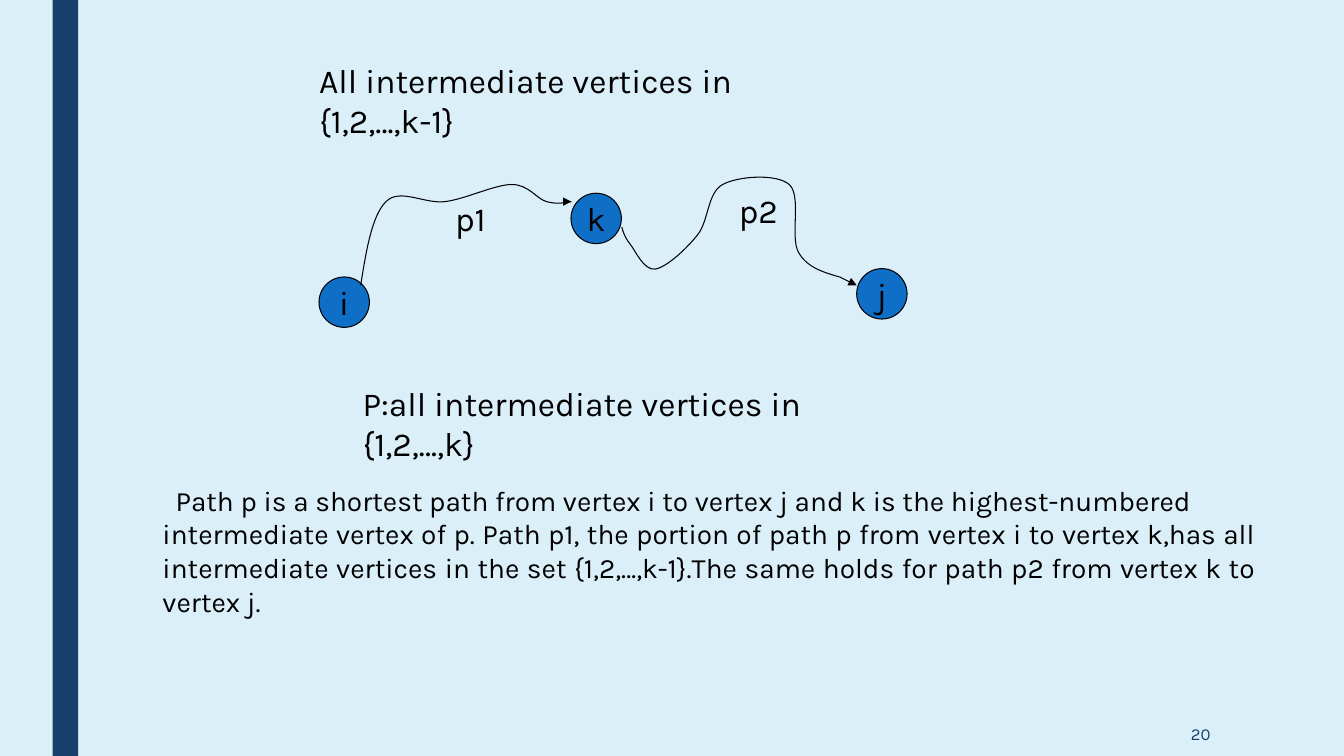
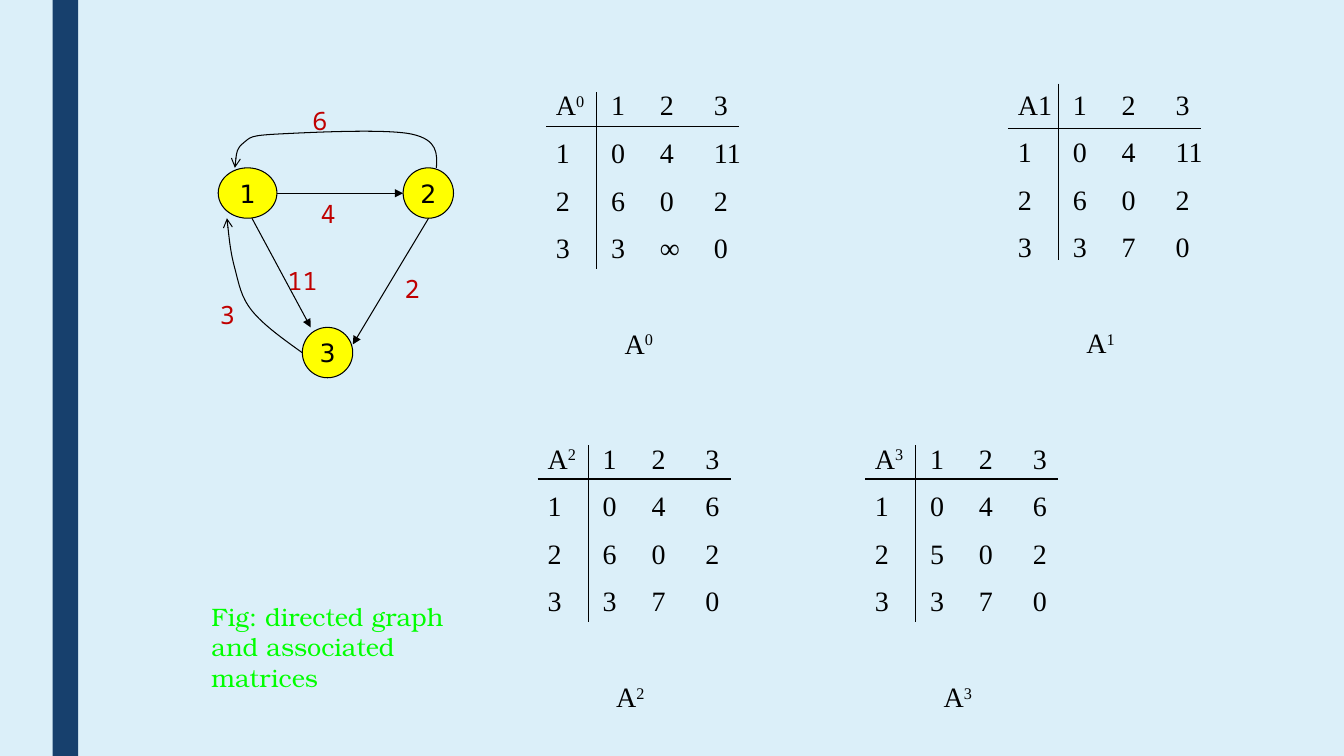
from dataclasses import dataclass
from itertools import product

from lxml import etree
from pptx import Presentation
from pptx import util as u
from pptx.dml.color import RGBColor
from pptx.enum import shapes, text
from pptx.oxml.ns import qn

COLOURS = {
    "background": "DBEFF9",
    "band": "17406D",
    "blue": "0F6FC6",
    "yellow": "FFFF00",
    "ink": "000000",
    "weight": "C00000",
    "caption": "00FF00",
}
PLAIN_TABLE = "{2D5ABB26-0587-4C30-8999-92F81FD0307C}"
LINE_WIDTH = u.Pt(0.75)
NODE_SIZE = 1.27
COLUMN_WIDTHS = (1.39, 1.23, 1.36, 1.15)
ROW_HEIGHT = 1.2
RULE_WIDTH, RULE_HEIGHT = 4.87, 4.45

Point = tuple[float, float]


@dataclass(frozen=True)
class Style:
    font: str
    size: float
    colour: str = "ink"


@dataclass(frozen=True)
class Label:
    words: str
    left: float
    top: float
    width: float = 1.27
    height: float = 1.02
    superscript: str = ""


@dataclass(frozen=True)
class Node:
    name: str
    left: float
    top: float
    width: float = NODE_SIZE


@dataclass(frozen=True)
class Edge:
    start: Point
    end: Point


@dataclass(frozen=True)
class Matrix:
    power: str
    left: float
    top: float
    cross: Point
    rule_top: float
    values: tuple[str, ...]
    raised: bool = True


KARLA_LARGE = Style("Karla", 24)
KARLA_BODY = Style("Karla", 20)
PAGE_NUMBER = Style("Karla", 12, "band")
NODE_NUMBER = Style("DejaVu Sans", 18)
EDGE_WEIGHT = Style("Noto Sans Mono", 18, "weight")
FIGURE_CAPTION = Style("TeX Gyre Bonum", 18, "caption")
MATRIX_TEXT = Style("Times New Roman", 20)

# Path through vertex k
PATH_TITLE = Label("All intermediate vertices in {1,2,…,k-1}", 7.79, 1.38, 14.1, 2.4)
PATH_CAPTION = Label("P:all intermediate vertices in {1,2,…,k}", 8.89, 9.52, 13.97, 2.4)
PATH_BODY = Label(
    "Path p is a shortest path from vertex i to vertex j and k is the highest-numbered\n"
    "intermediate vertex of p. Path p1, the portion of path p from vertex i to vertex k,"
    "has all intermediate vertices in the set {1,2,…,k-1}.The same holds for path p2 "
    "from vertex k to vertex j.",
    3.84, 12.05, 28.07, 3.68)
PATH_NODES = (Node("i", 8.04, 6.98), Node("j", 21.59, 6.77), Node("k", 14.39, 4.87))
PATH_CURVES = (
    ((9.09, 7.19), (9.73, 5.08), (11.23, 5.08), (12.9, 4.65), (13.77, 5.08), (14.4, 5.08)),
    ((15.67, 5.72), (15.88, 6.15), (16.51, 6.78), (17.58, 5.92), (18.21, 4.65),
     (19.89, 4.65), (20.12, 6.35), (21.16, 6.98)),
)
PATH_ARROWS = (Edge((14.18, 5.08), (14.4, 5.08)), Edge((21.16, 6.98), (21.59, 7.19)))
PATH_LABELS = (Label("p1", 11.22, 4.86, 2.74, 1.27), Label("p2", 18.37, 4.65, 3.23, 1.27))

# Directed graph and its matrices
GRAPH_NODES = (Node("1", 5.5, 4.23, 1.48), Node("2", 10.16, 4.23), Node("3", 7.62, 8.25))
GRAPH_WEIGHTS = (
    Label("3", 5.29, 7.41),
    Label("6", 7.62, 2.54),
    Label("4", 7.83, 4.87),
    Label("2", 9.95, 6.77),
    Label("11", 6.99, 6.55, 1.7),
)
GRAPH_EDGES = (
    Edge((6.99, 4.87), (10.16, 4.87)),
    Edge((10.8, 5.5), (8.89, 8.68)),
    Edge((6.35, 5.5), (7.83, 8.25)),
)
GRAPH_CURVES = (
    ((5.92, 4.23), (6.14, 3.6), (6.99, 3.38), (10.37, 3.38), (11, 4.23)),
    ((5.72, 5.5), (5.92, 6.77), (6.35, 7.83), (7.62, 8.89)),
)
GRAPH_CAPTION = Label("Fig: directed graph and associated matrices", 5.08, 15.03, 7.62, 2.54)
MATRICES = (
    Matrix("0", 13.76, 2.08, (15.03, 3.18), 2.33, ("0 4 11", "6 0 2", "3 ∞ 0")),
    Matrix("1", 25.4, 2.06, (26.67, 3.25), 2.11, ("0 4 11", "6 0 2", "3 7 0"), False),
    Matrix("2", 13.55, 10.98, (14.82, 12.07), 11.22, ("0 4 6", "6 0 2", "3 7 0")),
    Matrix("3", 21.8, 10.98, (23.07, 12.07), 11.22, ("0 4 6", "5 0 2", "3 7 0")),
)


def rgb(name: str) -> RGBColor:
    return RGBColor.from_string(COLOURS[name])


def set_font(para, style: Style) -> None:
    para.font.name = style.font
    para.font.size = u.Pt(style.size)
    para.font.color.rgb = rgb(style.colour)


def add_span(para, words: str, raised: bool = False) -> None:
    span = para.add_run()
    span.text = words
    if raised:
        span._r.get_or_add_rPr().set("baseline", "30000")


def outline(shape, end: str = "", arrow: str = "triangle") -> None:
    """Thin dark line, with an arrowhead at headEnd or tailEnd if one is named."""
    shape.line.color.rgb = rgb("ink")
    shape.line.width = LINE_WIDTH
    if end:
        line = shape.element.find(qn("p:spPr")).find(qn("a:ln"))
        etree.SubElement(line, qn(f"a:{end}"), type=arrow)


def add_label(page, label: Label, style: Style):
    box = page.shapes.add_textbox(
        u.Cm(label.left), u.Cm(label.top), u.Cm(label.width), u.Cm(label.height))
    box.text_frame.word_wrap = True
    para = box.text_frame.paragraphs[0]
    add_span(para, label.words)
    if label.superscript:
        add_span(para, label.superscript, raised=True)
    set_font(para, style)
    return box


def fill_placeholder(box, label: Label, style: Style, alignment, first_indent: float = 0) -> None:
    """Move a template placeholder and set its text without bullets."""
    box.left, box.top = u.Cm(label.left), u.Cm(label.top)
    box.width, box.height = u.Cm(label.width), u.Cm(label.height)
    frame = box.text_frame
    frame.text = label.words
    frame.word_wrap = True
    frame.auto_size = text.MSO_AUTO_SIZE.NONE
    frame.vertical_anchor = text.MSO_ANCHOR.TOP
    for number, para in enumerate(frame.paragraphs):
        properties = para._p.get_or_add_pPr()
        properties.set("marL", "0")
        properties.set("indent", str(0 if number else u.Cm(first_indent)))
        para.space_before = u.Pt(0)
        etree.SubElement(properties, qn("a:buNone"))
        para.alignment = alignment
        set_font(para, style)


def add_node(page, node: Node, fill: str, style: Style) -> None:
    circle = page.shapes.add_shape(
        shapes.MSO_SHAPE.OVAL,
        u.Cm(node.left), u.Cm(node.top), u.Cm(node.width), u.Cm(NODE_SIZE))
    circle.shadow.inherit = False
    circle.fill.solid()
    circle.fill.fore_color.rgb = rgb(fill)
    outline(circle)
    frame = circle.text_frame
    frame.word_wrap = False
    frame.vertical_anchor = text.MSO_ANCHOR.MIDDLE
    frame.margin_left = frame.margin_right = frame.margin_top = frame.margin_bottom = 0
    para = frame.paragraphs[0]
    add_span(para, node.name)
    para.alignment = text.PP_ALIGN.CENTER
    set_font(para, style)


def add_line(page, edge: Edge, end: str = "") -> None:
    line = page.shapes.add_connector(
        shapes.MSO_CONNECTOR.STRAIGHT, *(u.Cm(value) for value in edge.start + edge.end))
    outline(line, end)
    etree.SubElement(line.element.find(qn("p:spPr")), qn("a:effectLst"))


def curve_points(knots: tuple[Point, ...]) -> list[Point]:
    """Two handles and an end point for each stretch of a smooth curve."""
    def handle(index: int, sign: int) -> Point:
        before, knot, after = knots[index - 1:index + 2]
        return tuple(k + sign * (a - b) / 6 for b, k, a in zip(before, knot, after))

    def middle(one: Point, other: Point) -> Point:
        return (one[0] + other[0]) / 2, (one[1] + other[1]) / 2

    points = []
    last = len(knots) - 1
    for index in range(last):
        leave = handle(index, 1) if index else middle(knots[0], handle(1, -1))
        reach = handle(index + 1, -1) if index + 1 < last else middle(knots[last], leave)
        points += [leave, reach, knots[index + 1]]
    return points


def add_curve(page, knots: tuple[Point, ...], end: str = "") -> None:
    first, *others = [(u.Cm(x), u.Cm(y)) for x, y in (knots[0], *curve_points(knots))]
    builder = page.shapes.build_freeform(*first)
    builder.add_line_segments(others, close=False)
    shape = builder.convert_to_shape()
    # Join every three straight segments into one Bézier segment
    segments = list(shape.element.iter(qn("a:lnTo")))
    for leave, reach, stop in zip(segments[::3], segments[1::3], segments[2::3]):
        bezier = etree.Element(qn("a:cubicBezTo"))
        leave.addprevious(bezier)
        for segment in (leave, reach, stop):
            bezier.append(segment[0])
            segment.getparent().remove(segment)
    shape.shadow.inherit = False
    shape.fill.background()
    outline(shape, end, "arrow")


def add_matrix(page, matrix: Matrix) -> None:
    frame = page.shapes.add_table(
        4, 4, u.Cm(matrix.left), u.Cm(matrix.top),
        u.Cm(sum(COLUMN_WIDTHS)), u.Cm(4 * ROW_HEIGHT))
    next(frame.element.iter(qn("a:tableStyleId"))).text = PLAIN_TABLE
    table = frame.table
    table.first_row = table.horz_banding = False
    for column, width in zip(table.columns, COLUMN_WIDTHS):
        column.width = u.Cm(width)
    for row in table.rows:
        row.height = u.Cm(ROW_HEIGHT)

    rows = [["A", "1", "2", "3"]]
    rows += [[str(number), *line.split()] for number, line in enumerate(matrix.values, 1)]
    for row, column in product(range(4), range(4)):
        cell = table.cell(row, column)
        cell.fill.background()
        cell.margin_left = u.Cm(0.25)
        cell.margin_right = cell.margin_top = cell.margin_bottom = 0
        cell.vertical_anchor = text.MSO_ANCHOR.MIDDLE
        para = cell.text_frame.paragraphs[0]
        add_span(para, rows[row][column])
        if row == column == 0:
            add_span(para, matrix.power, matrix.raised)
        set_font(para, MATRIX_TEXT)

    # Rules that set off the headings, and the name below
    x, y = matrix.cross
    add_line(page, Edge((matrix.left, y), (matrix.left + RULE_WIDTH, y)))
    add_line(page, Edge((x, matrix.rule_top), (x, matrix.rule_top + RULE_HEIGHT)))
    add_label(page, Label("A", matrix.left + 1.73, matrix.top + 6.02,
                          superscript=matrix.power), MATRIX_TEXT)


def style_master(deck, page) -> None:
    """Give every slide the pale background and the dark band."""
    master = deck.slide_master
    master.background.fill.solid()
    master.background.fill.fore_color.rgb = rgb("background")
    band = page.shapes.add_shape(
        shapes.MSO_SHAPE.RECTANGLE, u.Cm(1.33), 0, u.Cm(0.64), deck.slide_height)
    band.shadow.inherit = False
    band.fill.solid()
    band.fill.fore_color.rgb = rgb("band")
    band.line.fill.background()
    master.shapes.element.insert(2, band.element)


def build_path_page(page) -> None:
    fill_placeholder(page.shapes.title, PATH_TITLE, KARLA_LARGE, text.PP_ALIGN.LEFT)
    fill_placeholder(page.placeholders[1], PATH_BODY, KARLA_BODY, text.PP_ALIGN.JUSTIFY, 0.33)
    for node in PATH_NODES:
        add_node(page, node, "blue", KARLA_LARGE)
    for knots, arrow in zip(PATH_CURVES, PATH_ARROWS):
        add_curve(page, knots)
        add_line(page, arrow, "tailEnd")
    for label in (*PATH_LABELS, PATH_CAPTION):
        add_label(page, label, KARLA_LARGE)
    number = add_label(page, Label("20", 26.31, 17.93, 4.45, 1.12), PAGE_NUMBER)
    number.text_frame.vertical_anchor = text.MSO_ANCHOR.MIDDLE
    number.text_frame.paragraphs[0].alignment = text.PP_ALIGN.RIGHT


def build_graph_page(page) -> None:
    for node in GRAPH_NODES:
        add_node(page, node, "yellow", NODE_NUMBER)
    for weight in GRAPH_WEIGHTS:
        add_label(page, weight, EDGE_WEIGHT)
    for edge in GRAPH_EDGES:
        add_line(page, edge, "tailEnd")
    for knots in GRAPH_CURVES:
        add_curve(page, knots, "headEnd")
    for matrix in MATRICES:
        add_matrix(page, matrix)
    add_label(page, GRAPH_CAPTION, FIGURE_CAPTION)


def main() -> None:
    deck = Presentation()
    deck.slide_width, deck.slide_height = u.Cm(33.87), u.Cm(19.05)
    path_page = deck.slides.add_slide(deck.slide_layouts[1])
    graph_page = deck.slides.add_slide(deck.slide_layouts[6])
    style_master(deck, path_page)
    build_path_page(path_page)
    build_graph_page(graph_page)
    deck.save("out.pptx")


if __name__ == "__main__":
    main()
